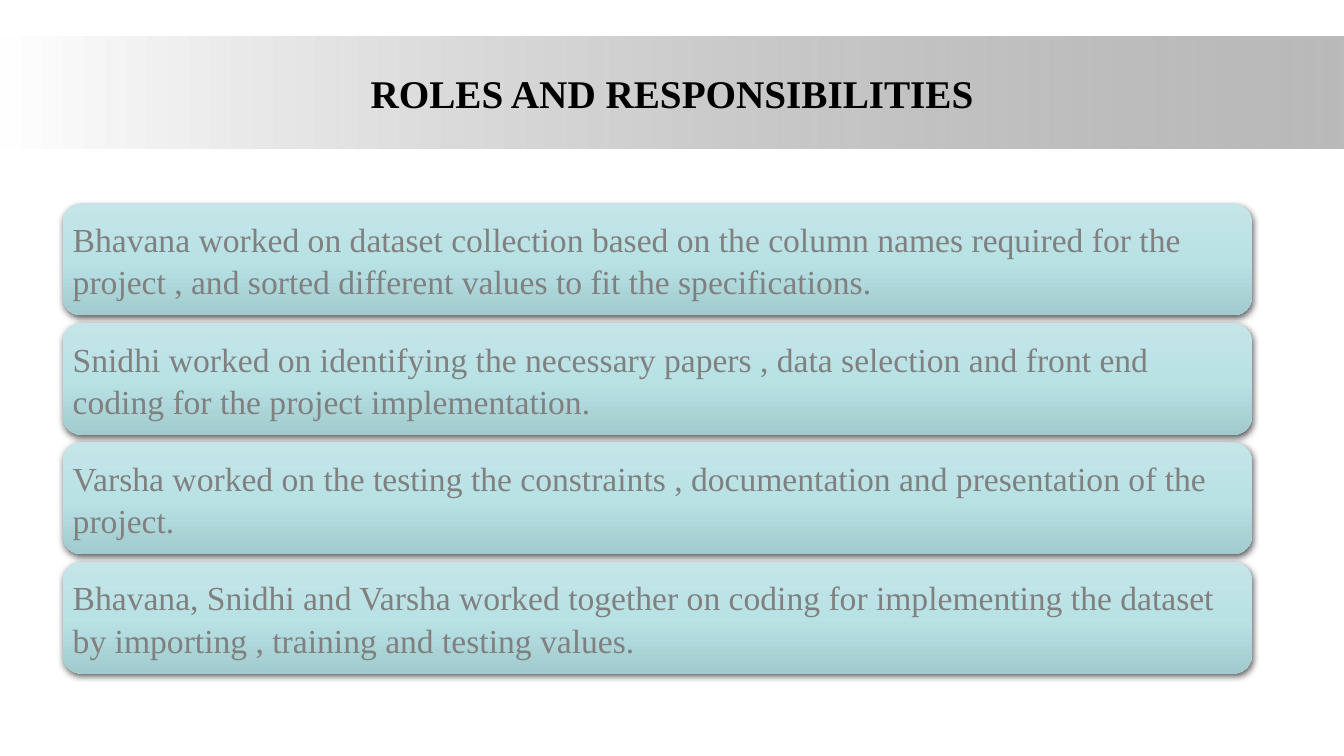
from lxml import etree
from pptx import Presentation
from pptx.dml.color import RGBColor
from pptx.enum import shapes, text
from pptx.oxml import ns
from pptx.util import Pt

TITLE = "ROLES AND RESPONSIBILITIES"
ROLES = [
    "Bhavana worked on dataset collection based on the column names required for the project , and sorted different values to fit the specifications.",
    "Snidhi worked on identifying the necessary papers , data selection and front end coding for the project implementation.",
    "Varsha worked on the testing the constraints , documentation and presentation of the project.",
    "Bhavana, Snidhi and Varsha worked together on coding for implementing the dataset by importing , training and testing values.",
]
FONT = "Times New Roman"
BLACK = RGBColor(0x00, 0x00, 0x00)
WHITE = RGBColor(0xFF, 0xFF, 0xFF)
GRAY = RGBColor(0x80, 0x80, 0x80)
TEAL_LIGHT = RGBColor(0xC5, 0xE5, 0xE8)
TEAL_MID = RGBColor(0xB9, 0xE2, 0xE5)
TEAL_DARK = RGBColor(0xA1, 0xCB, 0xCE)
BAND_STOPS = [(0, WHITE, 100), (100, GRAY, 54)]
CARD_STOPS = [(0, TEAL_LIGHT, 100), (50, TEAL_MID, 100), (100, TEAL_DARK, 100)]

SLIDE_W, SLIDE_H = 960, 540
CARD_LEFT, CARD_TOP, CARD_W, CARD_H = 44.8, 145.3, 849.6, 79.9
CARD_STEP = 85.3
CARD_INSET = 3.3


def add_child(parent, tag, **attributes):
    child = etree.SubElement(parent, ns.qn(tag))
    for name, value in attributes.items():
        child.set(name, str(value))
    return child


def add_color(parent, color, opacity):
    tint = add_child(parent, "a:srgbClr", val=color)
    if opacity < 100:
        add_child(tint, "a:alpha", val=opacity * 1000)


def add_gradient_shape(kind, box, stops, angle):
    shape = slide.shapes.add_shape(kind, *map(Pt, box))
    shape.shadow.inherit = False
    shape.line.fill.background()
    shape.fill.gradient()
    gradient = shape._element.spPr.find(ns.qn("a:gradFill"))
    for child in list(gradient):
        gradient.remove(child)
    stop_list = add_child(gradient, "a:gsLst")
    for position, color, opacity in stops:
        add_color(add_child(stop_list, "a:gs", pos=position * 1000), color, opacity)
    add_child(gradient, "a:lin", ang=angle * 60000, scaled=0)
    return shape


def add_card_shadow(card):
    effects = card._element.spPr.find(ns.qn("a:effectLst"))
    shadow = add_child(effects, "a:outerShdw", blurRad=Pt(4.5), dist=Pt(1.5),
                       dir=90 * 60000, rotWithShape=0)
    add_color(shadow, BLACK, 63)


def write(shape, wording, size, color, align, inset, bold=False):
    frame = shape.text_frame
    frame.word_wrap = True
    frame.vertical_anchor = text.MSO_ANCHOR.MIDDLE
    frame.margin_left = frame.margin_right = Pt(inset)
    frame.margin_top = frame.margin_bottom = Pt(inset)
    paragraph = frame.paragraphs[0]
    paragraph.alignment = align
    run = paragraph.add_run()
    run.text = wording
    run.font.name = FONT
    run.font.size = Pt(size)
    run.font.bold = bold
    run.font.color.rgb = color
    return paragraph


deck = Presentation()
deck.slide_width, deck.slide_height = Pt(SLIDE_W), Pt(SLIDE_H)
slide = deck.slides.add_slide(deck.slide_layouts[6])

add_gradient_shape(shapes.MSO_SHAPE.RECTANGLE, (0, 26, SLIDE_W, 80), BAND_STOPS, 0)
heading = slide.shapes.add_textbox(Pt(48), Pt(21.6), Pt(864), Pt(90))
write(heading, TITLE, 28, BLACK, text.PP_ALIGN.CENTER, 4, bold=True)

for row, role in enumerate(ROLES):
    box = (CARD_LEFT, CARD_TOP + row * CARD_STEP, CARD_W, CARD_H)
    card = add_gradient_shape(shapes.MSO_SHAPE.ROUNDED_RECTANGLE, box, CARD_STOPS, 90)
    add_card_shadow(card)
    paragraph = write(card, role, 24, GRAY, text.PP_ALIGN.LEFT, CARD_INSET)
    paragraph.line_spacing = 1.05

deck.save("out.pptx")
